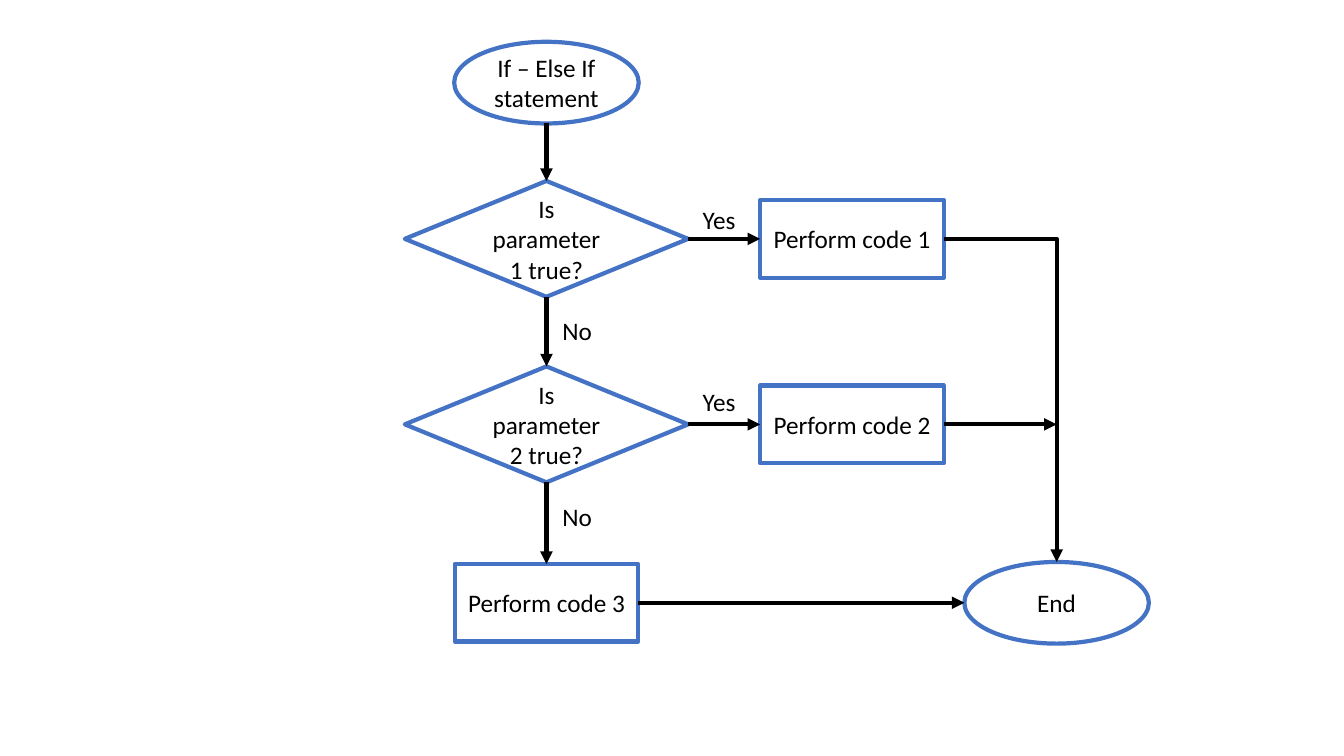
from pptx import Presentation
from pptx.dml.color import RGBColor
from pptx.enum.shapes import MSO_CONNECTOR, MSO_SHAPE
from pptx.enum.text import MSO_ANCHOR, PP_ALIGN
from pptx.oxml.ns import qn
from pptx.util import Inches, Pt
from lxml import etree

BLUE = RGBColor(0x44, 0x72, 0xC4)
BLACK = RGBColor(0, 0, 0)
OVAL = (MSO_SHAPE.OVAL, 1.83, 0.81)
DECISION = (MSO_SHAPE.FLOWCHART_DECISION, 2.81, 1.15)
PROCESS = (MSO_SHAPE.RECTANGLE, 1.82, 0.77)


def add_text(tf, text, align):
    tf.word_wrap = True
    p = tf.paragraphs[0]
    p.alignment = align
    r = p.add_run()
    r.text = text
    r.font.name = "Calibri"
    r.font.size = Pt(18)
    r.font.color.rgb = BLACK


def add_node(s, kind, x, y, text):
    preset, width, height = kind
    sp = s.shapes.add_shape(preset, Inches(x - width / 2), Inches(y - height / 2),
                            Inches(width), Inches(height))
    sp.shadow.inherit = False
    sp.fill.background()
    sp.line.color.rgb = BLUE
    sp.line.width = Pt(3)
    sp.text_frame.vertical_anchor = MSO_ANCHOR.MIDDLE
    add_text(sp.text_frame, text, PP_ALIGN.CENTER)
    return sp


def add_label(s, x, y, text):
    tb = s.shapes.add_textbox(Inches(x), Inches(y), Inches(0.63), Inches(0.4))
    add_text(tb.text_frame, text, PP_ALIGN.LEFT)


def add_arrow(s, start, end, bent=False):
    kind = MSO_CONNECTOR.ELBOW if bent else MSO_CONNECTOR.STRAIGHT
    cxn = s.shapes.add_connector(kind, *start, *end)
    cxn.line.color.rgb = BLACK
    cxn.line.width = Pt(3)
    spPr = cxn._element.spPr
    if bent:
        spPr.find(qn("a:prstGeom")).set("prst", "bentConnector2")
    tail = etree.SubElement(spPr.find(qn("a:ln")), qn("a:tailEnd"))
    tail.set("type", "triangle")
    etree.SubElement(spPr, qn("a:effectLst"))


def top(sp):
    return sp.left + sp.width // 2, sp.top


def bottom(sp):
    return sp.left + sp.width // 2, sp.top + sp.height


def left(sp):
    return sp.left, sp.top + sp.height // 2


def right(sp):
    return sp.left + sp.width, sp.top + sp.height // 2


def add_flowchart(s, x, y):
    test_x, code_x, end_x = x + 1.41, x + 4.44, x + 6.47
    first_y, row_step, last_y = y + 1.96, 1.84, y + 5.57

    previous = add_node(s, OVAL, test_x, y + 0.41, "If – Else If statement")
    end = add_node(s, OVAL, end_x, last_y, "End")
    for i, yes_rise in enumerate((0.39, 0.43)):
        row_y = first_y + i * row_step
        test = add_node(s, DECISION, test_x, row_y, f"Is parameter {i + 1} true?")
        code = add_node(s, PROCESS, code_x, row_y, f"Perform code {i + 1}")
        add_arrow(s, bottom(previous), top(test))
        add_arrow(s, right(test), left(code))
        add_label(s, x + 2.86, row_y - yes_rise, "Yes")
        add_label(s, x + 1.47, row_y + 0.71, "No")
        if i == 0:
            add_arrow(s, right(code), top(end), bent=True)
        else:
            add_arrow(s, right(code), (top(end)[0], right(code)[1]))
        previous = test

    fallback = add_node(s, PROCESS, test_x, last_y, "Perform code 3")
    add_arrow(s, bottom(previous), top(fallback))
    add_arrow(s, right(fallback), left(end))


prs = Presentation()
prs.slide_width = Inches(13.33)
prs.slide_height = Inches(7.5)
s = prs.slides.add_slide(prs.slide_layouts[6])
add_flowchart(s, 4.01, 0.41)
prs.save("out.pptx")
